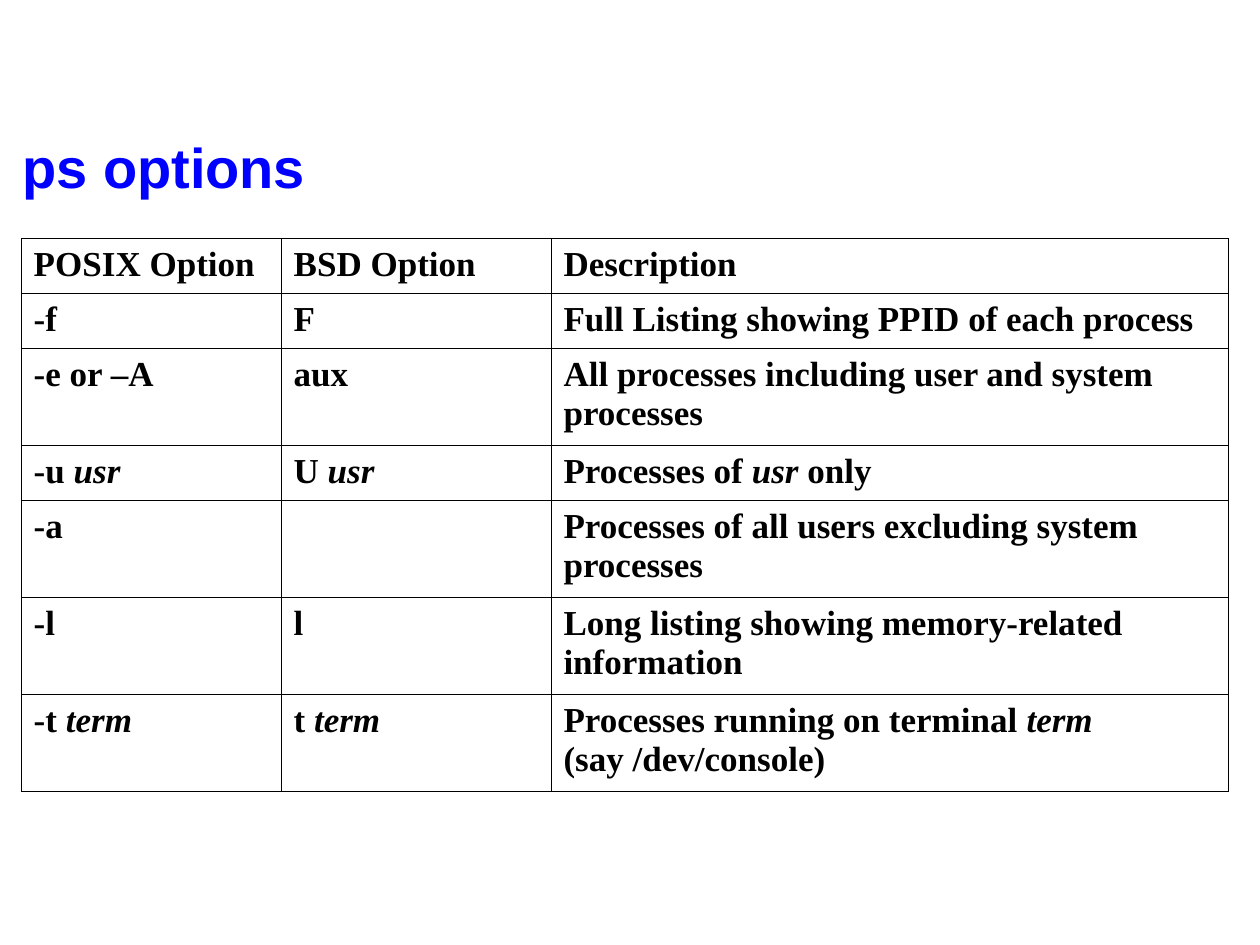
from lxml import etree
from pptx import Presentation
from pptx.dml.color import RGBColor
from pptx.enum.text import MSO_AUTO_SIZE
from pptx.oxml.ns import qn
from pptx.util import Cm, Pt

BLUE = RGBColor(0x00, 0x00, 0xFF)
BLACK = RGBColor(0x00, 0x00, 0x00)
FIT_SHAPE = MSO_AUTO_SIZE.SHAPE_TO_FIT_TEXT

TITLE_FONT = {"name": "Arial", "size": Pt(32), "bold": True}
CELL_FONT = {"name": "Times New Roman", "size": Pt(20), "bold": True}
MARGINS = {"margin_left": Cm(0.25), "margin_right": Cm(0.25),
           "margin_top": Cm(0.13), "margin_bottom": Cm(0.13)}
COL_WIDTHS = [5.24, 5.44, 13.65]
ROW_HEIGHTS = [1.1, 1.1, 1.95, 1.1, 1.95, 1.95, 1.95]
ROWS = [
    ["POSIX Option", "BSD Option", "Description"],
    ["-f", "F", "Full Listing showing PPID of each process"],
    ["-e or –A", "aux", "All processes including user and system processes"],
    ["-u *usr*", "U *usr*", "Processes of *usr *only"],
    ["-a", "", "Processes of all users excluding system processes"],
    ["-l", "l", "Long listing showing memory-related information"],
    ["-t *term*", "t *term*",
     "Processes running on terminal *term*\n(say /dev/console)"],
]


def write(tf, text, font, color):
    for n, line in enumerate(text.split("\n")):
        p = tf.add_paragraph() if n else tf.paragraphs[0]
        for i, part in enumerate(line.split("*")):
            if not part:
                continue
            r = p.add_run()
            r.text = part
            for key, value in font.items():
                setattr(r.font, key, value)
            r.font.color.rgb = color
            if i % 2:
                r.font.italic = True


def add_borders(cell):
    pr = cell._tc.get_or_add_tcPr()
    for i, side in enumerate(["lnL", "lnR", "lnT", "lnB"]):
        ln = etree.Element(qn(f"a:{side}"), w=str(Pt(0.45)))
        fill = etree.SubElement(ln, qn("a:solidFill"))
        etree.SubElement(fill, qn("a:srgbClr"), val=str(BLACK))
        pr.insert(i, ln)


prs = Presentation()
prs.slide_width, prs.slide_height = Cm(25.4), Cm(19.05)
s = prs.slides.add_slide(prs.slide_layouts[6])

sp = s.shapes.add_textbox(Cm(0.2), Cm(2.54), Cm(6.22), Cm(1.63))
tf = sp.text_frame
tf.word_wrap = False
tf.auto_size = FIT_SHAPE
for key, value in MARGINS.items():
    setattr(tf, key, value)
write(tf, "ps options", TITLE_FONT, BLUE)

table = s.shapes.add_table(len(ROWS), len(COL_WIDTHS), Cm(0.43), Cm(4.81),
                           Cm(sum(COL_WIDTHS)), Cm(sum(ROW_HEIGHTS))).table
table.first_row = False
table.horz_banding = False
for col, width in zip(table.columns, COL_WIDTHS):
    col.width = Cm(width)
for row, height, texts in zip(table.rows, ROW_HEIGHTS, ROWS):
    row.height = Cm(height)
    for cell, text in zip(row.cells, texts):
        for key, value in MARGINS.items():
            setattr(cell, key, value)
        cell.fill.background()
        add_borders(cell)
        write(cell.text_frame, text, CELL_FONT, BLACK)

prs.save("out.pptx")
